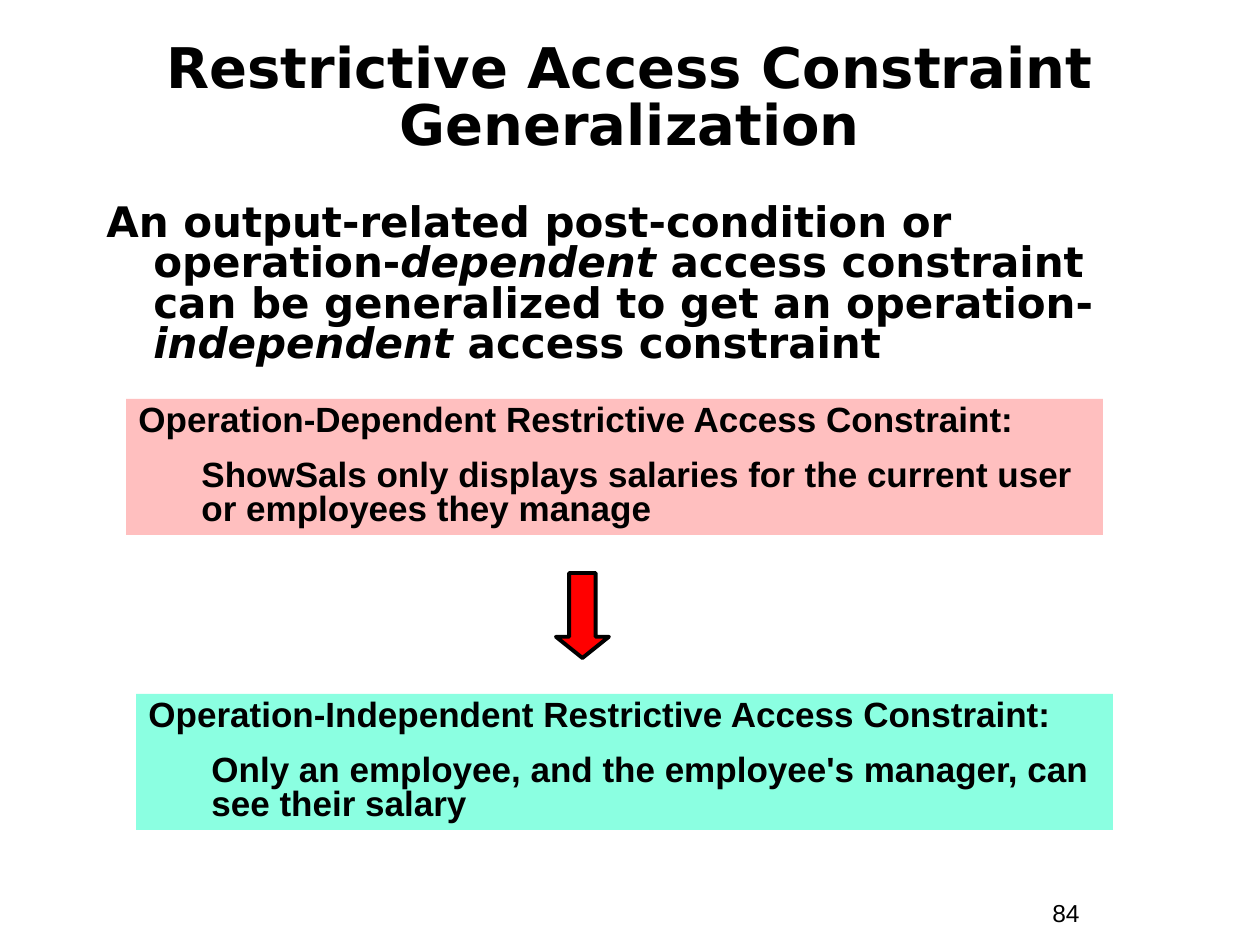
from pptx import Presentation, util as u
from pptx.dml.color import RGBColor
from pptx.enum import shapes, text

PX = u.Inches(1) / 126
BLACK = RGBColor(0x00, 0x00, 0x00)
RED = RGBColor(0xFF, 0x00, 0x00)
PINK = RGBColor(0xFF, 0xBF, 0xBF)
AQUA = RGBColor(0x8B, 0xFF, 0xE1)

HEADING = {"name": "DejaVu Sans", "size": u.Pt(32), "bold": True}
STATEMENT = {"name": "DejaVu Sans", "size": u.Pt(24), "bold": True}
CONSTRAINT = {"name": "Arial", "size": u.Pt(20), "bold": True}
PAGE_NUMBER = {"name": "Arial", "size": u.Pt(14), "bold": False}


def px(*lengths):
    """Turn pixel lengths into EMU."""
    return [u.Emu(round(length * PX)) for length in lengths]


def write(paragraph, pieces, font_format, line_spacing=1.0, align=text.PP_ALIGN.LEFT):
    """Fill a paragraph with runs; every second piece is italic."""
    paragraph.alignment = align
    paragraph.line_spacing = line_spacing
    for index, piece in enumerate(pieces):
        run = paragraph.add_run()
        run.text = piece
        for name, value in font_format.items():
            setattr(run.font, name, value)
        run.font.italic = index % 2 == 1
        run.font.color.rgb = BLACK


presentation = Presentation()
presentation.slide_width, presentation.slide_height = px(1260, 945)
slide = presentation.slides.add_slide(presentation.slide_layouts[5])

# Title
title = slide.shapes.title
title.left, title.top, title.width, title.height = px(42, 42, 1176, 116)
title.text_frame.auto_size = text.MSO_AUTO_SIZE.NONE
title.text_frame.vertical_anchor = text.MSO_ANCHOR.MIDDLE
write(title.text_frame.paragraphs[0], ["Restrictive Access Constraint Generalization"],
      HEADING, 0.85, text.PP_ALIGN.CENTER)

# Statement with a hanging indent
statement = slide.shapes.add_textbox(*px(94, 199, 1061, 189))
statement.text_frame.word_wrap = True
paragraph = statement.text_frame.paragraphs[0]
properties = paragraph._p.get_or_add_pPr()
properties.set("marL", str(px(47)[0]))
properties.set("indent", str(px(-47)[0]))
write(paragraph, ["An output-related post-condition or operation-", "dependent",
                  " access constraint can be generalized to get an operation-",
                  "independent", " access constraint"], STATEMENT, 0.8)

# The two constraints
constraints = [
    (126, 399, PINK, "Operation-Dependent Restrictive Access Constraint:",
     "ShowSals only displays salaries for the current user or employees they manage"),
    (136, 694, AQUA, "Operation-Independent Restrictive Access Constraint:",
     "Only an employee, and the employee's manager, can see their salary"),
]
for left, top, color, heading, rule in constraints:
    box = slide.shapes.add_shape(shapes.MSO_SHAPE.RECTANGLE, *px(left, top, 977, 136))
    box.shadow.inherit = False
    box.fill.solid()
    box.fill.fore_color.rgb = color
    box.line.fill.background()
    frame = box.text_frame
    frame.word_wrap = True
    frame.vertical_anchor = text.MSO_ANCHOR.TOP
    write(frame.paragraphs[0], [heading], CONSTRAINT, 0.8)
    paragraph = frame.add_paragraph()
    paragraph.level = 1
    paragraph.space_before = u.Pt(12.5)
    paragraph._p.get_or_add_pPr().set("marL", str(px(63)[0]))
    write(paragraph, [rule], CONSTRAINT, 0.8)

# Arrow from the dependent to the independent constraint
arrow = slide.shapes.add_shape(shapes.MSO_SHAPE.DOWN_ARROW, *px(556, 573, 53, 85))
arrow.shadow.inherit = False
arrow.adjustments[0] = 0.5
arrow.adjustments[1] = 0.4
arrow.fill.solid()
arrow.fill.fore_color.rgb = RED
arrow.line.color.rgb = BLACK
arrow.line.width = u.Pt(2.25)

# Page number
page_number = slide.shapes.add_textbox(*px(1040, 892, 116, 43))
page_number.text_frame.word_wrap = True
write(page_number.text_frame.paragraphs[0], ["84"], PAGE_NUMBER)

presentation.save("out.pptx")
